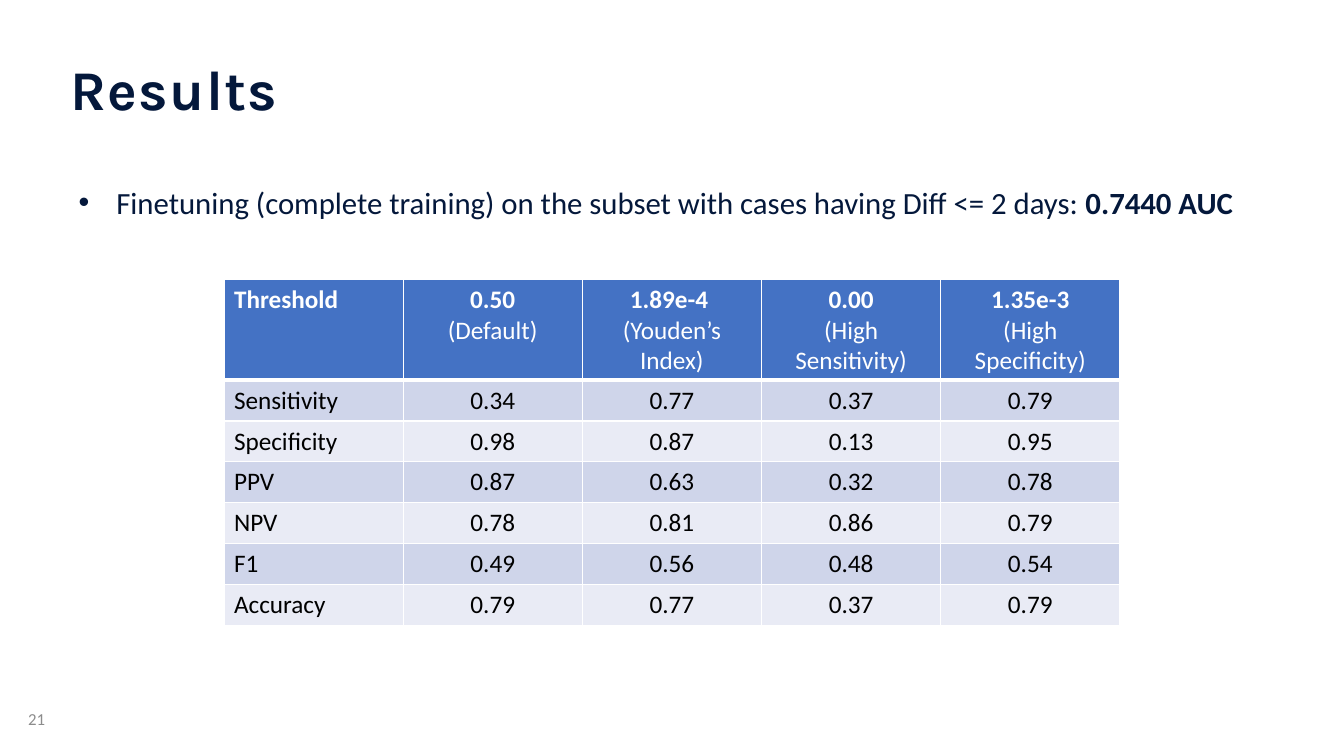
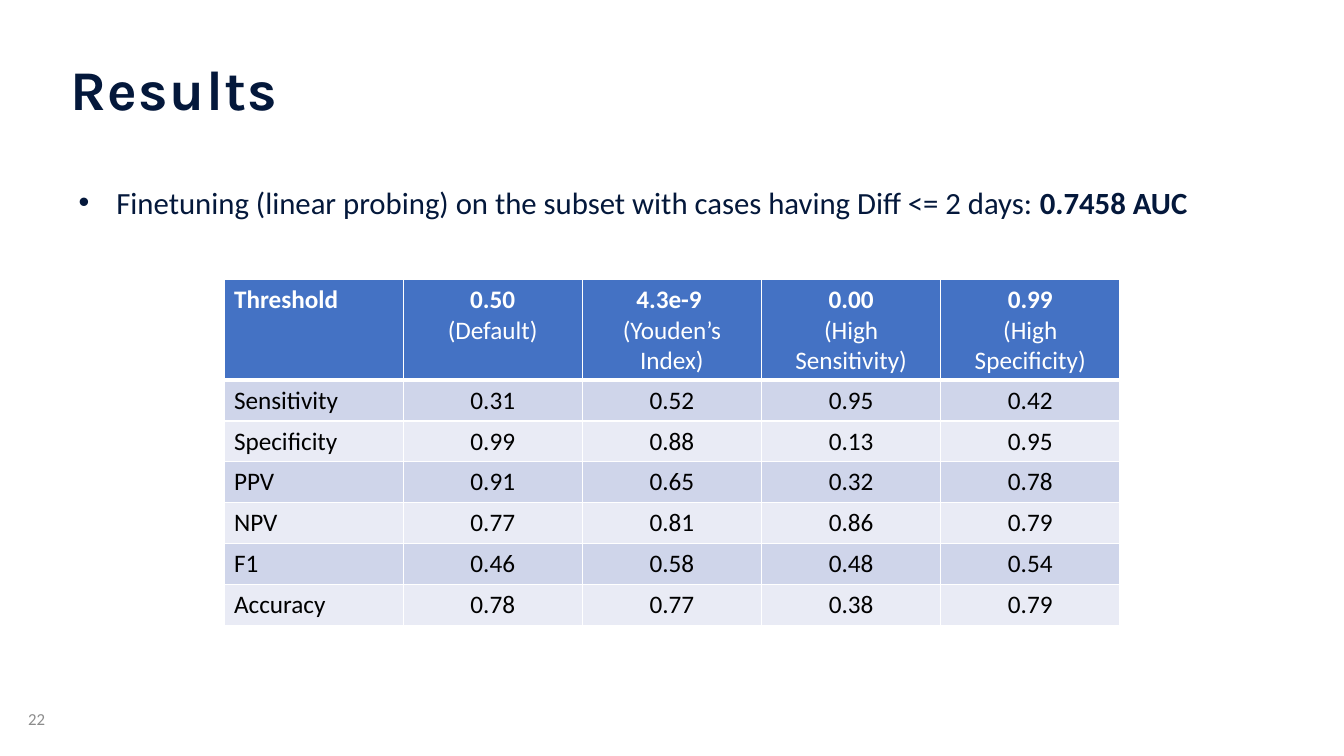
import pptx
import pptx.dml.color
import pptx.enum.text
import pptx.oxml
import pptx.oxml.ns
import pptx.util
import lxml.etree

Pt = pptx.util.Pt
ALIGN = pptx.enum.text.PP_ALIGN
ANCHOR = pptx.enum.text.MSO_ANCHOR
FIT = pptx.enum.text.MSO_AUTO_SIZE


def color(value):
    return pptx.dml.color.RGBColor.from_string(value)


def add_child(parent, tag, **attributes):
    return lxml.etree.SubElement(parent, pptx.oxml.ns.qn(tag), attributes)


class ResultsDeck:
    NAVY, GRAY, WHITE, BLACK = "04183B", "8C8C8C", "FFFFFF", "000000"
    HEADER, BANDS = "4472C4", ("CFD5EA", "E9EBF5")
    TITLE_FONT, BODY_FONT = "Karla", "Calibri"
    COLUMN_WIDTH, HEADER_HEIGHT, ROW_HEIGHT = 128, 72, 29.2

    def __init__(self):
        self.deck = pptx.Presentation()
        self.deck.slide_width, self.deck.slide_height = Pt(960), Pt(540)
        self.slide = None

    def add_slide(self, title, number):
        self.slide = self.deck.slides.add_slide(self.deck.slide_layouts[5])
        self.add_title(title)
        self.add_number(number)

    def add_span(self, para, text, size, fill, bold=False, font=BODY_FONT):
        span = para.add_run()
        span.text = text
        span.font.name, span.font.size, span.font.bold = font, Pt(size), bold
        span.font.color.rgb = color(fill)
        return span

    def add_title(self, text):
        box = self.slide.shapes.title
        box.left, box.top, box.width, box.height = Pt(43.2), Pt(35.3), Pt(520.6), Pt(55.4)
        frame = box.text_frame
        frame.vertical_anchor = ANCHOR.TOP
        frame.auto_size = FIT.SHAPE_TO_FIT_TEXT
        para = frame.paragraphs[0]
        para.alignment = ALIGN.LEFT
        span = self.add_span(para, text, 40, self.NAVY, True, self.TITLE_FONT)
        span.font._element.set("spc", "100")  # letter spacing of 1 pt

    def add_box(self, left, top, width, height):
        box = self.slide.shapes.add_textbox(Pt(left), Pt(top), Pt(width), Pt(height))
        box.text_frame.word_wrap = True
        return box.text_frame

    def add_number(self, number):
        frame = self.add_box(13, 499, 41, 28.8)
        frame.vertical_anchor = ANCHOR.MIDDLE
        self.add_span(frame.paragraphs[0], str(number), 12, self.GRAY)

    def add_bullet(self, text, emphasis):
        frame = self.add_box(49, 127.4, 866, 34)
        frame.auto_size = FIT.SHAPE_TO_FIT_TEXT
        para = frame.paragraphs[0]
        para.space_before = para.space_after = Pt(6)
        properties = para._p.get_or_add_pPr()
        properties.set("marL", str(Pt(27)))
        properties.set("indent", str(-Pt(27)))
        add_child(properties, "a:buFont", typeface="Arial")
        add_child(properties, "a:buChar", char="•")
        self.add_span(para, text, 22, self.NAVY)
        self.add_span(para, emphasis, 22, self.NAVY, True)

    def format_cell(self, cell, fill, top=1, bottom=1):
        properties = cell._tc.get_or_add_tcPr()
        for side, width in (("L", 1), ("R", 1), ("T", top), ("B", bottom)):
            line = add_child(properties, "a:ln" + side, w=str(Pt(width)))
            add_child(add_child(line, "a:solidFill"), "a:srgbClr", val=self.WHITE)
        cell.fill.solid()
        cell.fill.fore_color.rgb = color(fill)

    def add_results_table(self, thresholds, metrics):
        columns, rows = len(thresholds) + 1, len(metrics) + 1
        height = self.HEADER_HEIGHT + len(metrics) * self.ROW_HEIGHT
        table = self.slide.shapes.add_table(
            rows, columns, Pt(160), Pt(199.5),
            Pt(columns * self.COLUMN_WIDTH), Pt(height)).table
        for row in table.rows:
            row.height = Pt(self.ROW_HEIGHT)
        table.rows[0].height = Pt(self.HEADER_HEIGHT)

        # Header: threshold in bold, its meaning below
        header = [("Threshold",)] + list(zip(thresholds, THRESHOLD_NOTES))
        for column, lines in enumerate(header):
            cell = table.cell(0, column)
            self.format_cell(cell, self.HEADER, bottom=3)
            for index, text in enumerate(lines):
                frame = cell.text_frame
                para = frame.add_paragraph() if index else frame.paragraphs[0]
                para.alignment = ALIGN.CENTER if column else ALIGN.LEFT
                self.add_span(para, text, 18, self.WHITE, index == 0)

        # Banded body
        for row, (name, values) in enumerate(zip(METRIC_NAMES, metrics), 1):
            for column, text in enumerate([name] + values.split()):
                cell = table.cell(row, column)
                self.format_cell(cell, self.BANDS[(row - 1) % 2], top=3 if row == 1 else 1)
                para = cell.text_frame.paragraphs[0]
                para.alignment = ALIGN.CENTER if column else ALIGN.LEFT
                self.add_span(para, text, 18, self.BLACK)


THRESHOLD_NOTES = ["(Default)", "(Youden’s Index)", "(High Sensitivity)", "(High Specificity)"]
METRIC_NAMES = ["Sensitivity", "Specificity", "PPV", "NPV", "F1", "Accuracy"]

# Method, AUC, thresholds, and one row of values per metric
EXPERIMENTS = [
    ("complete training", "0.7440", ["0.50", "1.89e-4 ", "0.00", "1.35e-3"], [
        "0.34 0.77 0.37 0.79",
        "0.98 0.87 0.13 0.95",
        "0.87 0.63 0.32 0.78",
        "0.78 0.81 0.86 0.79",
        "0.49 0.56 0.48 0.54",
        "0.79 0.77 0.37 0.79",
    ]),
    ("linear probing", "0.7458", ["0.50", "4.3e-9 ", "0.00", "0.99"], [
        "0.31 0.52 0.95 0.42",
        "0.99 0.88 0.13 0.95",
        "0.91 0.65 0.32 0.78",
        "0.77 0.81 0.86 0.79",
        "0.46 0.58 0.48 0.54",
        "0.78 0.77 0.38 0.79",
    ]),
]


def main():
    results = ResultsDeck()
    for number, (method, auc, thresholds, metrics) in enumerate(EXPERIMENTS, 21):
        results.add_slide("Results", number)
        results.add_results_table(thresholds, metrics)
        results.add_bullet(
            f"Finetuning ({method}) on the subset with cases having Diff <= 2 days: ",
            f"{auc} AUC")
    results.deck.save("out.pptx")


if __name__ == "__main__":
    main()
